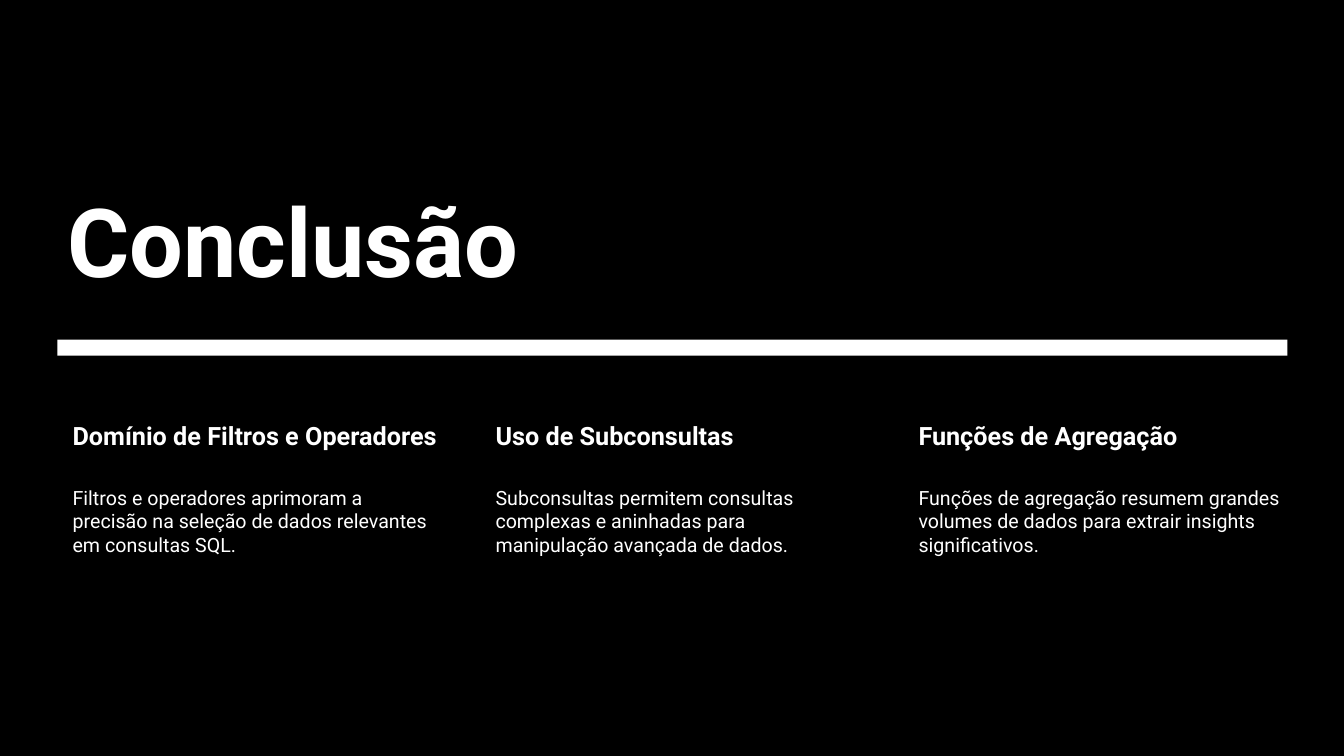
from pptx import Presentation
from pptx import util as u
from pptx.dml import color
from pptx.enum import shapes, text

WIDTH, HEIGHT = 13.33, 7.5
MARGIN, CONTENT_WIDTH = 0.57, 12.2
TOPIC_WIDTH = 3.81

TOPICS = [
    ("Domínio de Filtros e Operadores",
     "Filtros e operadores aprimoram a precisão na seleção de dados relevantes em consultas SQL."),
    ("Uso de Subconsultas",
     "Subconsultas permitem consultas complexas e aninhadas para manipulação avançada de dados."),
    ("Funções de Agregação",
     "Funções de agregação resumem grandes volumes de dados para extrair insights significativos."),
]


def rgb(value):
    return color.RGBColor.from_string(value)


class SlideBuilder:
    font = "Roboto"
    ink = "FFFFFF"
    ground = "000000"

    def __init__(self, slide):
        self.slide = slide
        slide.background.fill.solid()
        slide.background.fill.fore_color.rgb = rgb(self.ground)

    def block(self, left, top, width, height, fill):
        block = self.slide.shapes.add_shape(
            shapes.MSO_SHAPE.RECTANGLE,
            u.Inches(left), u.Inches(top), u.Inches(width), u.Inches(height))
        block.shadow.inherit = False
        block.fill.solid()
        block.fill.fore_color.rgb = rgb(fill)
        block.line.fill.background()

    def label(self, wording, left, top, width, height, size, bold=False,
              insets=(0.1, 0.05), anchor=text.MSO_ANCHOR.TOP):
        box = self.slide.shapes.add_textbox(
            u.Inches(left), u.Inches(top), u.Inches(width), u.Inches(height))
        frame = box.text_frame
        frame.word_wrap = True
        frame.vertical_anchor = anchor
        left_inset, other_inset = insets
        frame.margin_left = u.Inches(left_inset)
        frame.margin_right = u.Inches(min(left_inset, other_inset))
        frame.margin_top = frame.margin_bottom = u.Inches(other_inset)
        frame.text = wording
        font = frame.paragraphs[0].runs[0].font
        font.name = self.font
        font.size = u.Pt(size)
        font.bold = bold
        font.color.rgb = rgb(self.ink)


def main():
    deck = Presentation()
    deck.slide_width, deck.slide_height = u.Inches(WIDTH), u.Inches(HEIGHT)
    builder = SlideBuilder(deck.slides.add_slide(deck.slide_layouts[6]))

    # Backdrop and divider
    builder.block(0, 0, WIDTH, HEIGHT, builder.ground)
    builder.block(MARGIN, 3.37, CONTENT_WIDTH, 0.16, builder.ink)

    # Title
    builder.label("Conclusão", MARGIN, 1.45, CONTENT_WIDTH, 1.54, 68, bold=True,
                  anchor=text.MSO_ANCHOR.BOTTOM)

    # Topics, spread evenly over the content width
    step = (CONTENT_WIDTH - TOPIC_WIDTH) / (len(TOPICS) - 1)
    for index, (heading, summary) in enumerate(TOPICS):
        left = MARGIN + index * step
        builder.label(heading, left, 4.14, TOPIC_WIDTH, 0.66, 18, bold=True,
                      insets=(0.15, 0.03))
        builder.label(summary, left, 4.8, TOPIC_WIDTH, 2.04, 14, insets=(0.15, 0.02))

    deck.save("out.pptx")


if __name__ == "__main__":
    main()
